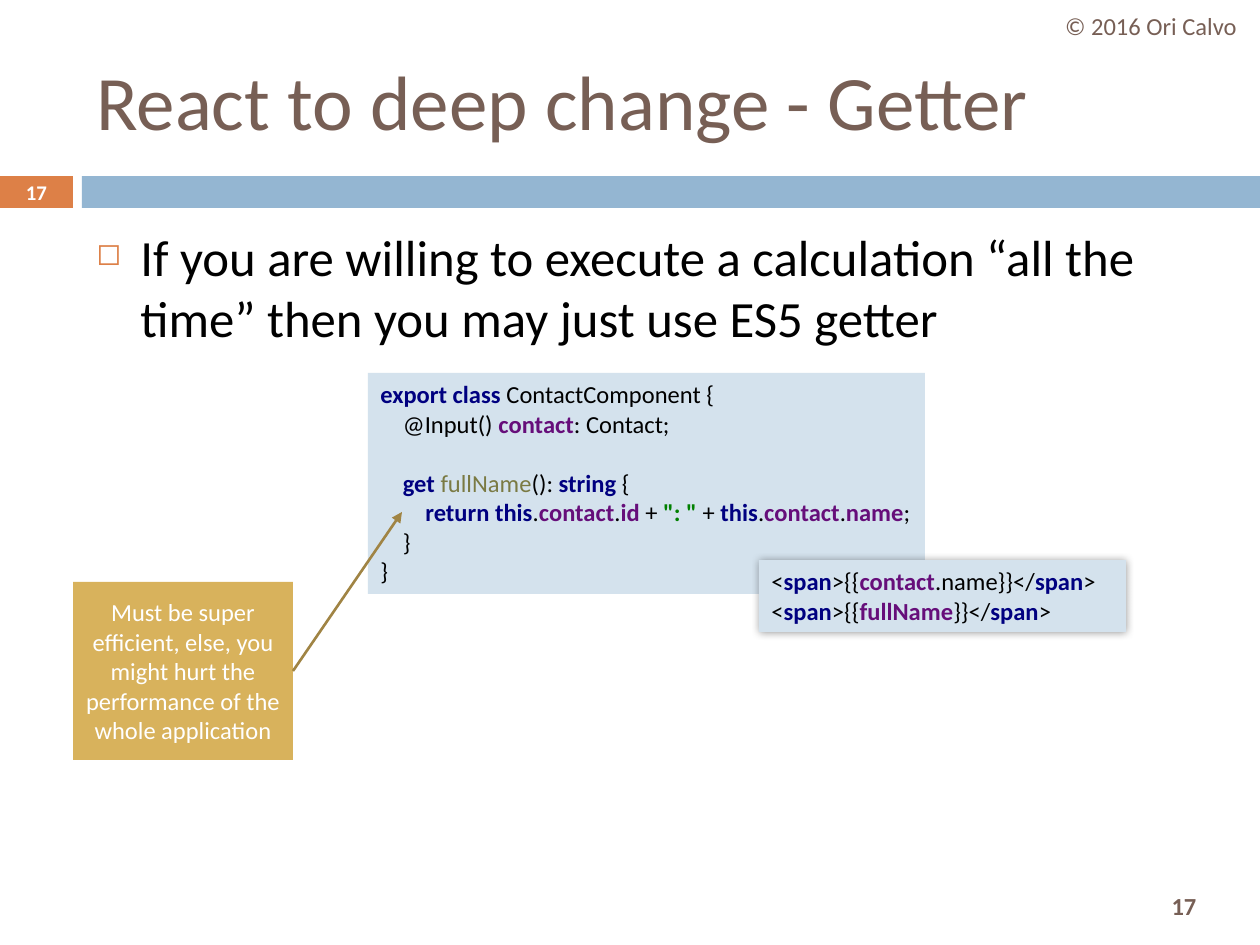
from lxml.etree import SubElement
from pptx import Presentation
from pptx.dml.color import RGBColor
from pptx.enum.shapes import MSO_CONNECTOR, MSO_SHAPE
from pptx.enum.text import MSO_ANCHOR, PP_ALIGN
from pptx.oxml.ns import qn
from pptx.util import Emu, Pt

PIXEL = 914400 / 126
FONT = "Calibri"
BROWN, ORANGE, BLUE, PALE = "775F55", "DD8047", "94B6D2", "D4E2ED"
GOLD, DARK_GOLD, WHITE, BLACK = "D8B25C", "A08444", "FFFFFF", "000000"
INDENT = 22.5
STYLES = {
    "plain": (BLACK, False),
    "keyword": ("000080", True),
    "member": ("660E7A", True),
    "method": ("7A7A43", False),
    "string": ("008000", True),
}
CLASS_CODE = [
    (0, 0, [("export class ", "keyword"), ("ContactComponent {", "plain")]),
    (1, 0, [("@Input() ", "plain"), ("contact", "member"), (": Contact;", "plain")]),
    (1, 17, [("get ", "keyword"), ("fullName", "method"), ("(): ", "plain"),
             ("string ", "keyword"), ("{", "plain")]),
    (2, 0, [("return this", "keyword"), (".", "plain"), ("contact", "member"),
            (".", "plain"), ("id ", "member"), ("+ ", "plain"), ("\": \" ", "string"),
            ("+ ", "plain"), ("this", "keyword"), (".", "plain"),
            ("contact", "member"), (".", "plain"), ("name", "member"), (";", "plain")]),
    (1, 0, [("}", "plain")]),
    (0, 0, [("}", "plain")]),
]


def span_line(*content):
    """Return one template line that wraps the content in a span tag."""
    return (0, 0, [("<", "plain"), ("span", "keyword"), (">{{", "plain"), *content,
                   ("}}</", "plain"), ("span", "keyword"), (">", "plain")])


TEMPLATE_CODE = [
    span_line(("contact", "member"), (".name", "plain")),
    span_line(("fullName", "member")),
]


def px(value):
    """Turn picture pixels into EMU."""
    return Emu(round(value * PIXEL))


def colour(value):
    """Turn a hex string into a colour."""
    return RGBColor.from_string(value)


def style_font(font, size, shade, bold=False):
    """Set typeface, size, colour and weight."""
    font.name, font.size, font.bold = FONT, Pt(size), bold
    font.color.rgb = colour(shade)


def write(box, text, size, shade, bold=False, align=PP_ALIGN.CENTER, anchor=MSO_ANCHOR.MIDDLE):
    """Put one paragraph of uniform text in a box and return it."""
    frame = box.text_frame
    frame.word_wrap = True
    frame.vertical_anchor = anchor
    frame.text = text
    paragraph = frame.paragraphs[0]
    paragraph.alignment = align
    style_font(paragraph.runs[0].font, size, shade, bold)
    return paragraph


def add_text(page, frame, *args, **options):
    """Add a text box and return its paragraph."""
    return write(page.shapes.add_textbox(*map(px, frame)), *args, **options)


def add_block(page, frame, fill):
    """Add a plain filled rectangle."""
    block = page.shapes.add_shape(MSO_SHAPE.RECTANGLE, *map(px, frame))
    block.shadow.inherit = False
    block.fill.solid()
    block.fill.fore_color.rgb = colour(fill)
    block.line.fill.background()
    return block


def add_code(page, frame, lines):
    """Add a pale block of highlighted code."""
    block = add_block(page, frame, PALE)
    text_frame = block.text_frame
    text_frame.word_wrap = True
    text_frame.vertical_anchor = MSO_ANCHOR.TOP
    for number, (level, gap, spans) in enumerate(lines):
        paragraph = text_frame.add_paragraph() if number else text_frame.paragraphs[0]
        paragraph.alignment = PP_ALIGN.LEFT
        paragraph.space_before = Pt(gap)
        paragraph._p.get_or_add_pPr().set("marL", str(px(level * INDENT)))
        for text, style in spans:
            span = paragraph.add_run()
            span.text = text
            style_font(span.font, 14, *STYLES[style])
    return block


def add_glow_shadow(block):
    """Give a block a soft shadow on all sides."""
    effects = block._element.spPr.find(qn("a:effectLst"))
    shadow = SubElement(effects, qn("a:outerShdw"), blurRad=str(Pt(5)), dist="0",
                        algn="ctr", rotWithShape="0")
    shade = SubElement(shadow, qn("a:srgbClr"), val=BLACK)
    SubElement(shade, qn("a:alpha"), val="40000")


def add_bullet(paragraph):
    """Give a paragraph a hanging square bullet."""
    paragraph.space_before = Pt(7)
    properties = paragraph._p.get_or_add_pPr()
    properties.set("marL", str(px(44)))
    properties.set("indent", str(px(-44)))
    SubElement(SubElement(properties, qn("a:buClr")), qn("a:srgbClr"), val=ORANGE)
    SubElement(properties, qn("a:buSzPct"), val="60000")
    SubElement(properties, qn("a:buChar"), char="◻")


def add_arrow(page, start, end):
    """Add a straight arrow that points at its end."""
    arrow = page.shapes.add_connector(MSO_CONNECTOR.STRAIGHT, *map(px, start + end))
    arrow.line.color.rgb = colour(DARK_GOLD)
    arrow.line.width = Pt(1.5)
    SubElement(arrow.line._get_or_add_ln(), qn("a:tailEnd"), type="triangle")
    SubElement(arrow._element.spPr, qn("a:effectLst"))


def main():
    """Build the slide and save it."""
    deck = Presentation()
    deck.slide_width, deck.slide_height = px(1260), px(945)
    page = deck.slides.add_slide(deck.slide_layouts[6])

    add_block(page, (0, 176, 73, 32), ORANGE)
    add_block(page, (82, 176, 1178, 32), BLUE)
    add_text(page, (1126, 879, 116, 53), "17", 14, BROWN, bold=True)
    add_text(page, (84, 32, 1124, 136), "React to deep change - Getter", 44, BROWN,
             align=PP_ALIGN.LEFT)
    add_text(page, (1042, 0, 218, 51), "© 2016 Ori Calvo", 14, BROWN)
    add_text(page, (0, 175, 73, 34), "17", 11.9, WHITE, bold=True)
    add_bullet(add_text(
        page, (84, 220, 1124, 620),
        "If you are willing to execute a calculation “all the time” "
        "then you may just use ES5 getter",
        29, BLACK, align=PP_ALIGN.LEFT, anchor=MSO_ANCHOR.TOP))

    add_code(page, (368, 373, 557, 221), CLASS_CODE)
    write(add_block(page, (73, 582, 220, 178), GOLD),
          "Must be super efficient, else, you might hurt the performance "
          "of the whole application", 14, WHITE)
    add_arrow(page, (293, 671), (402, 512))
    add_glow_shadow(add_code(page, (759, 560, 367, 72), TEMPLATE_CODE))

    deck.save("out.pptx")


main()
